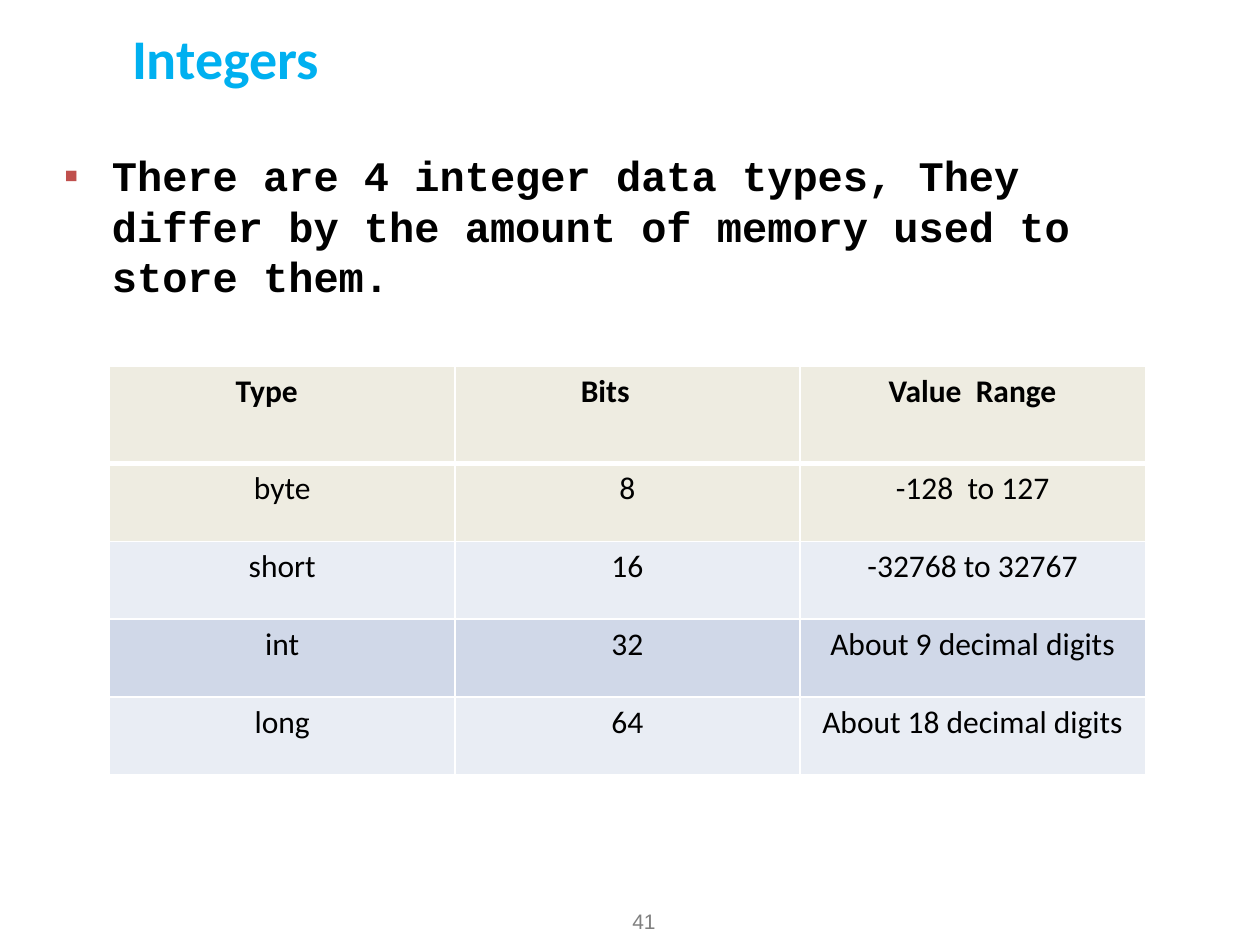
from dataclasses import dataclass

from lxml.etree import SubElement
from pptx import Presentation
from pptx.dml.color import RGBColor
from pptx.enum.text import MSO_ANCHOR, PP_ALIGN
from pptx.oxml import parse_xml
from pptx.oxml.ns import nsdecls, qn
from pptx.util import Inches, Pt


@dataclass(frozen=True)
class Theme:
    heading_font: str = "Calibri"
    body_font: str = "Courier New"
    number_font: str = "Arial"
    title_size: int = 32
    body_size: int = 24
    table_size: int = 18
    number_size: int = 12
    title: str = "00B0F0"
    text: str = "000000"
    bullet: str = "C0504D"
    number: str = "808080"
    border: str = "FFFFFF"
    header_fill: str = "EEECE1"
    light_band: str = "E9EDF4"
    dark_band: str = "D0D8E8"


THEME = Theme()

HEADERS = ["Type", "Bits", "Value  Range"]
INTEGER_TYPES = [
    ["byte", "8", "-128  to 127"],
    ["short", "16", "-32768 to 32767"],
    ["int", "32", "About 9 decimal digits"],
    ["long", "64", "About 18 decimal digits"],
]


def format_runs(paragraph, font_name, size, color, bold=False):
    for run in paragraph.runs:
        run.font.name = font_name
        run.font.size = Pt(size)
        run.font.bold = bold
        run.font.color.rgb = RGBColor.from_string(color)


def set_indent(paragraph, left, first_line=0):
    properties = paragraph._p.get_or_add_pPr()
    properties.set("marL", str(Inches(left)))
    properties.set("indent", str(Inches(first_line)))


def add_text(slide, box, text):
    text_frame = slide.shapes.add_textbox(*map(Inches, box)).text_frame
    text_frame.word_wrap = True
    text_frame.text = text
    return text_frame


def add_title(slide, box, text):
    text_frame = add_text(slide, box, text)
    text_frame.vertical_anchor = MSO_ANCHOR.MIDDLE
    paragraph = text_frame.paragraphs[0]
    paragraph.line_spacing = 0.85
    set_indent(paragraph, 0.2)
    format_runs(paragraph, THEME.heading_font, THEME.title_size, THEME.title, True)


def add_bullet_text(slide, box, text):
    paragraph = add_text(slide, box, text).paragraphs[0]
    paragraph.space_before = Pt(0.2 * THEME.body_size)
    set_indent(paragraph, 0.38, -0.38)
    properties = paragraph._p.get_or_add_pPr()
    bullet_color = SubElement(properties, qn("a:buClr"))
    SubElement(bullet_color, qn("a:srgbClr"), val=THEME.bullet)
    SubElement(properties, qn("a:buFont"), typeface="Arial")
    SubElement(properties, qn("a:buChar"), char="▪")
    format_runs(paragraph, THEME.body_font, THEME.body_size, THEME.text, True)


def add_page_number(slide, box, text):
    paragraph = add_text(slide, box, text).paragraphs[0]
    format_runs(paragraph, THEME.number_font, THEME.number_size, THEME.number)


def set_borders(cell, widths):
    """Draw the cell's borders; widths are points for left, right, top, bottom."""
    properties = cell._tc.get_or_add_tcPr()
    for position, (side, width) in enumerate(zip("LRTB", widths)):
        properties.insert(position, parse_xml(
            f'<a:ln{side} {nsdecls("a")} w="{Pt(width)}"><a:solidFill>'
            f'<a:srgbClr val="{THEME.border}"/></a:solidFill></a:ln{side}>'))


def add_type_table(slide, box, headers, records):
    rows = [headers, *records]
    fills = [THEME.header_fill, THEME.header_fill,
             THEME.light_band, THEME.dark_band, THEME.light_band]
    header_height = 0.77
    row_height = (box[3] - header_height) / len(records)
    table = slide.shapes.add_table(
        len(rows), len(headers), *map(Inches, box)).table
    for column in table.columns:
        column.width = Inches(box[2] / len(headers))

    for row_index, values in enumerate(rows):
        is_header = row_index == 0
        table.rows[row_index].height = Inches(
            header_height if is_header else row_height)
        for column_index, value in enumerate(values):
            cell = table.cell(row_index, column_index)
            cell.text_frame.text = value
            cell.fill.solid()
            cell.fill.fore_color.rgb = RGBColor.from_string(fills[row_index])
            top = 3 if row_index == 1 else 1
            set_borders(cell, (1, 1, top, 3 if is_header else 1))
            paragraph = cell.text_frame.paragraphs[0]
            # The first two headings are indented, all else is centred
            if is_header and column_index < 2:
                set_indent(paragraph, 0.9)
            else:
                paragraph.alignment = PP_ALIGN.CENTER
            format_runs(paragraph, THEME.heading_font, THEME.table_size,
                        THEME.text, is_header)


def main():
    presentation = Presentation()
    presentation.slide_width = Inches(10)
    presentation.slide_height = Inches(7.5)
    slide = presentation.slides.add_slide(presentation.slide_layouts[6])

    # Heading and statement
    add_title(slide, (0.75, 0.33, 8.07, 0.33), "Integers")
    add_bullet_text(
        slide, (0.41, 1.14, 9, 5),
        "There are 4 integer data types, They differ by the amount of "
        "memory used to store them.")

    # Comparison of the types
    add_type_table(slide, (0.87, 2.91, 8.22, 3.24), HEADERS, INTEGER_TYPES)

    # Footer
    add_page_number(slide, (4.92, 7.16, 0.92, 0.33), "41")

    presentation.save("out.pptx")


if __name__ == "__main__":
    main()
